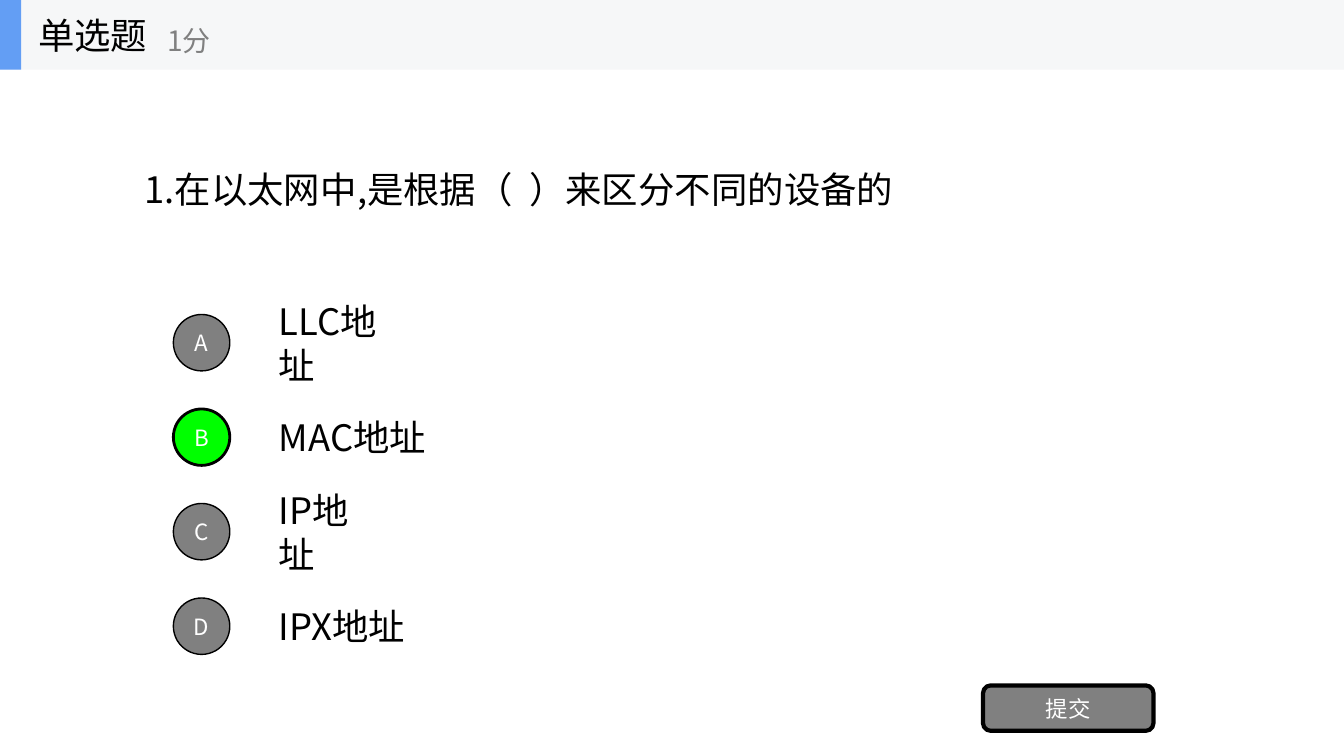
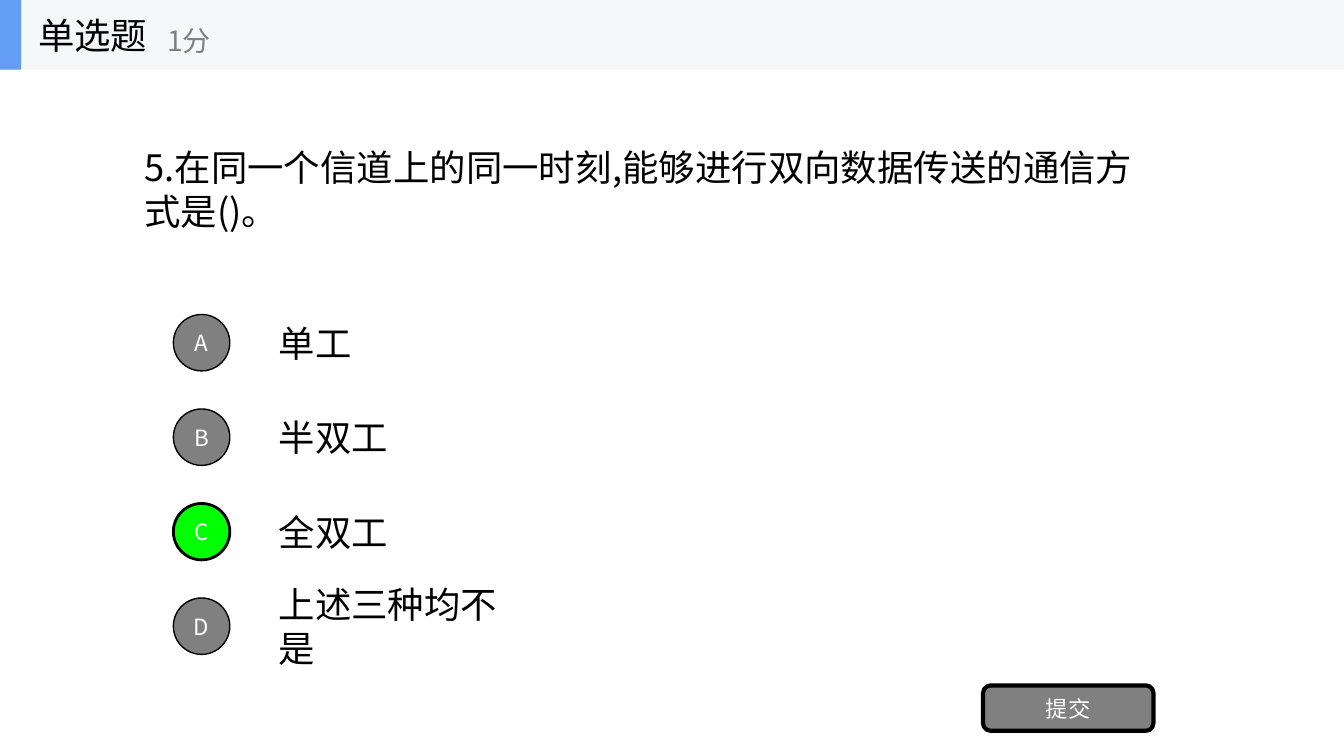
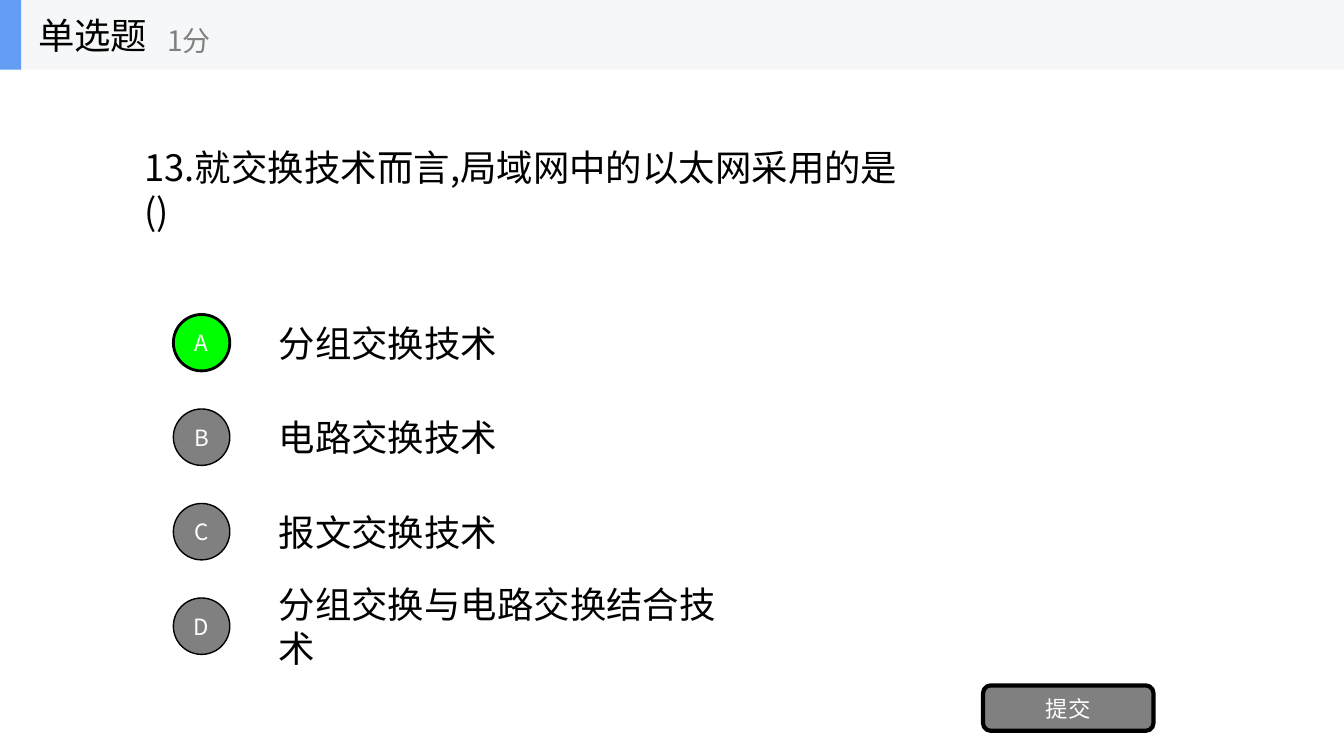
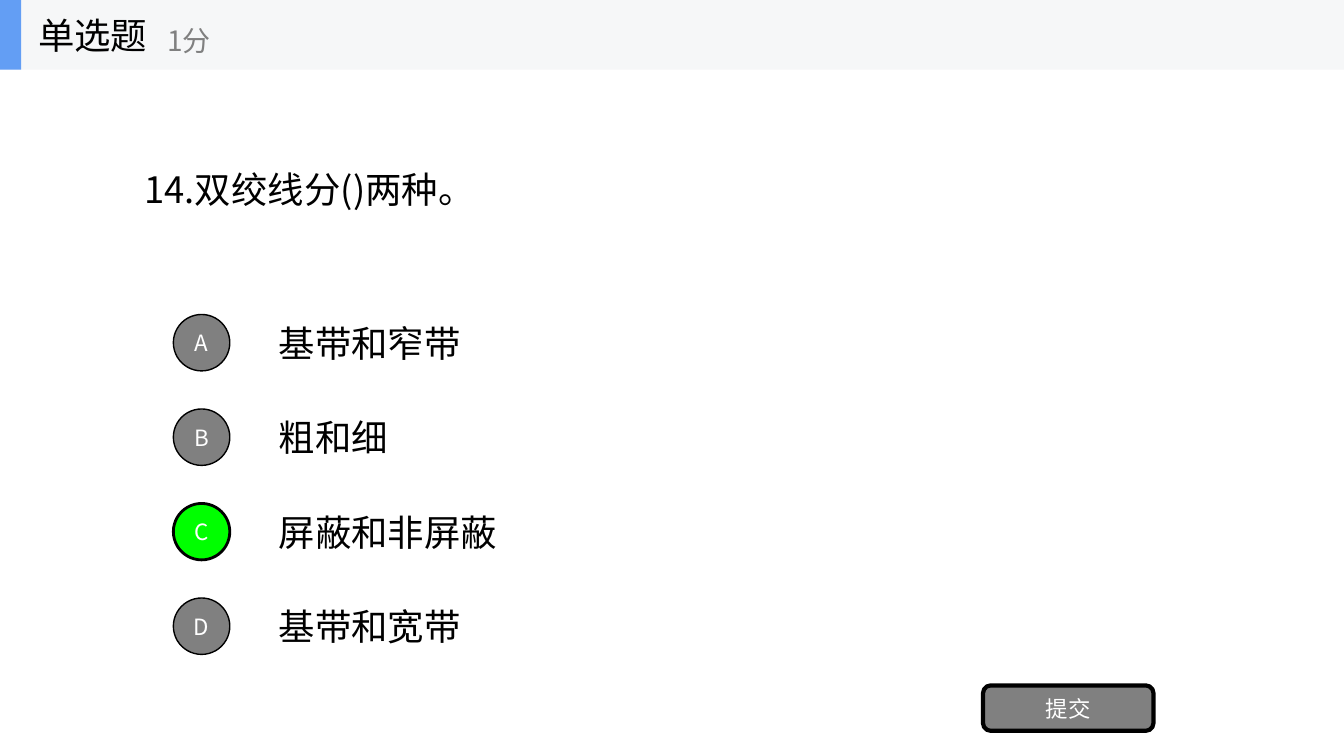
from pptx import Presentation
from pptx.dml.color import RGBColor
from pptx.enum.shapes import MSO_SHAPE as SHAPE
from pptx.enum.text import MSO_ANCHOR as ANCHOR, MSO_AUTO_SIZE as AUTO, PP_ALIGN as ALIGN
from pptx.oxml.xmlchemy import OxmlElement
from pptx.util import Inches, Pt

BLACK = RGBColor(0x00, 0x00, 0x00)
WHITE = RGBColor(0xFF, 0xFF, 0xFF)
GRAY = RGBColor(0x80, 0x80, 0x80)
GREEN = RGBColor(0x00, 0xFF, 0x00)
BLUE = RGBColor(0x63, 0x9E, 0xF4)
BAND = RGBColor(0xF6, 0xF7, 0xF8)
FONT = "Noto Sans CJK SC"

# Grid: shares of the slide's size, in inches
W, H = 13.33, 7.5
BAND_H = 0.69
QUESTION_X, QUESTION_Y = W / 10, H / 4
OPTION_X, OPTION_Y = W / 5, 3.4
ROW = H / 8
BADGE_X, BADGE = W * 0.15, 0.56
LINE_H = 0.53

# Text formats
BODY = {"size": Pt(26), "color": BLACK}
SCORE = {"size": Pt(20), "color": GRAY}
LABEL = {"size": Pt(16), "color": WHITE}

# Question, its width and height, right answer, options with their widths
QUIZ = [
    ("1.在以太网中,是根据（  ）来区分不同的设备的", 10.31, 0.54, "B",
     [("LLC地址", 1.52), ("MAC地址", 1.77), ("IP地址", 1.25), ("IPX地址", 1.47)]),
    ("5.在同一个信道上的同一时刻,能够进行双向数据传送的通信方式是()。", 10.34, 0.97, "C",
     [("单工", 0.93), ("半双工", 1.29), ("全双工", 1.29), ("上述三种均不是", 2.72)]),
    ("13.就交换技术而言,局域网中的以太网采用的是()", 7.9, LINE_H, "A",
     [("分组交换技术", 2.37), ("电路交换技术", 2.37), ("报文交换技术", 2.37),
      ("分组交换与电路交换结合技术", 4.89)]),
    ("14.双绞线分()两种。", 3.48, LINE_H, "C",
     [("基带和窄带", 2.01), ("粗和细", 1.29), ("屏蔽和非屏蔽", 2.37), ("基带和宽带", 2.01)]),
]


def write(sp, text, fmt, align=ALIGN.LEFT, auto=AUTO.NONE):
    tf = sp.text_frame
    for name, value in {"word_wrap": True, "auto_size": auto, "vertical_anchor": ANCHOR.MIDDLE}.items():
        setattr(tf, name, value)
    p = tf.paragraphs[0]
    p.alignment = align
    r = p.add_run()
    r.text = text
    r.font.color.rgb = fmt["color"]
    for name, value in {"name": FONT, "size": fmt["size"]}.items():
        setattr(r.font, name, value)
    # East Asian typeface goes right after the Latin one
    ea = OxmlElement("a:ea")
    ea.set("typeface", FONT)
    r.font._element.find(".//{*}latin").addnext(ea)


def draw(shapes, kind, box, fill, line=0):
    sp = shapes.add_shape(kind, *map(Inches, box))
    sp.shadow.inherit = False
    sp.fill.solid()
    sp.fill.fore_color.rgb = fill
    if line:
        sp.line.color.rgb = BLACK
        sp.line.width = Pt(line)
    else:
        sp.line.fill.background()
    return sp


prs = Presentation()
prs.slide_width, prs.slide_height = Inches(W), Inches(H)

for question, width, height, answer, options in QUIZ:
    s = prs.slides.add_slide(prs.slide_layouts[6])

    # Question
    box = (QUESTION_X, QUESTION_Y - height / 2, width, height)
    write(s.shapes.add_textbox(*map(Inches, box)), question, BODY, auto=AUTO.SHAPE_TO_FIT_TEXT)

    # Options, the right one in green
    for i, (letter, (option, width)) in enumerate(zip("ABCD", options)):
        y = OPTION_Y + i * ROW
        box = (OPTION_X, y - LINE_H / 2, width, LINE_H)
        write(s.shapes.add_textbox(*map(Inches, box)), option, BODY, auto=AUTO.SHAPE_TO_FIT_TEXT)
        fill, line = (GREEN, 2) if letter == answer else (GRAY, 1)
        box = (BADGE_X - BADGE / 2, y - BADGE / 2, BADGE, BADGE)
        write(draw(s.shapes, SHAPE.OVAL, box, fill, line), letter, LABEL, ALIGN.CENTER)

    # Submit button
    button = draw(s.shapes, SHAPE.ROUNDED_RECTANGLE, (9.75, 6.8, 1.69, 0.45), GRAY, 3)
    write(button, "提交", LABEL, ALIGN.CENTER)

    # Header band
    header = s.shapes.add_group_shape().shapes
    for width, fill in [(W, BAND), (0.21, BLUE)]:
        draw(header, SHAPE.RECTANGLE, (0, 0, width, BAND_H), fill)
    for box, text, fmt in [((0.28, 0, 2.08, BAND_H), "单选题", BODY),
                           ((1.56, 0.12, 2.5, 0.56), "1分", SCORE)]:
        write(header.add_textbox(*map(Inches, box)), text, fmt)

prs.save("out.pptx")
